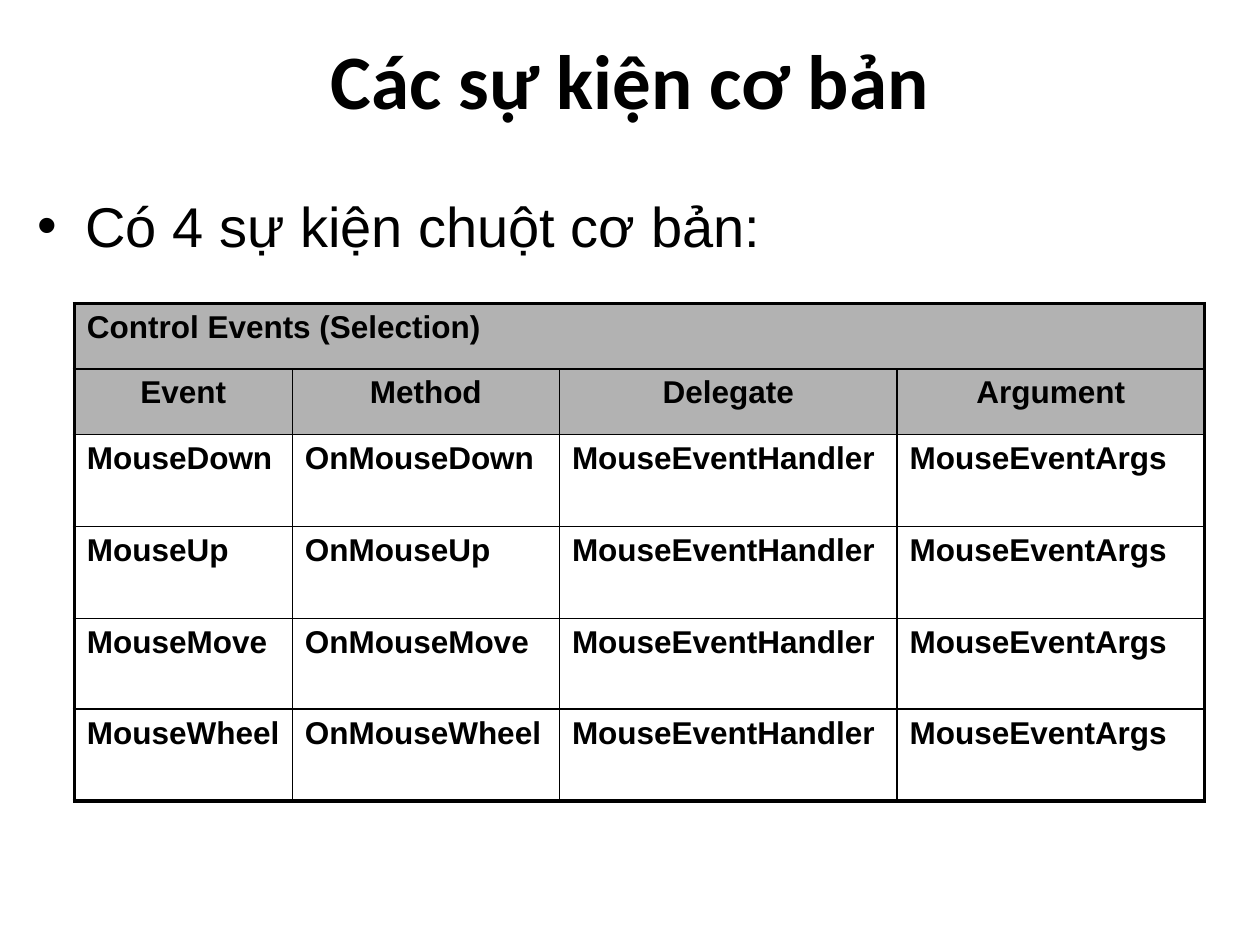
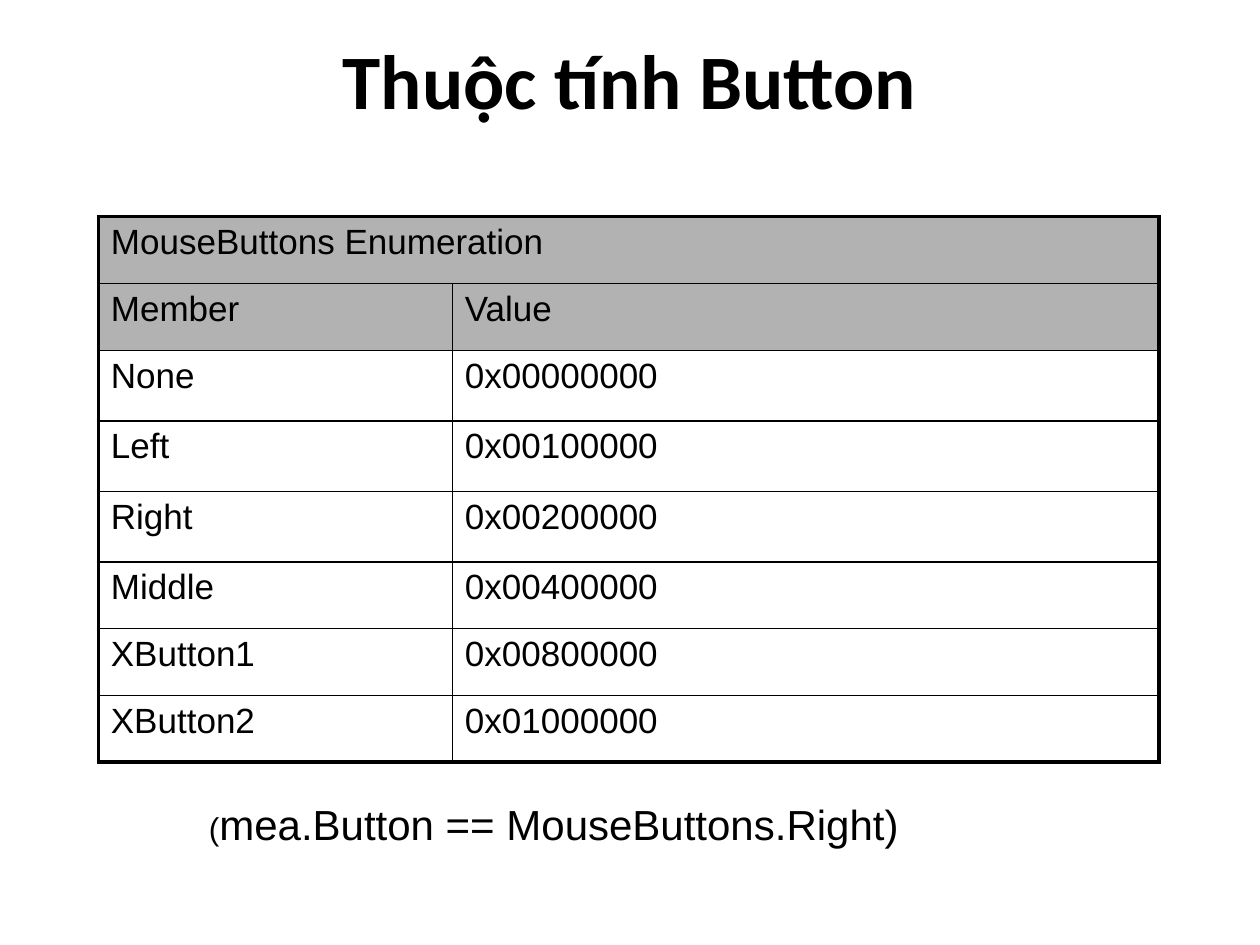
"""Build two slides on mouse events and mouse button values."""
from dataclasses import dataclass

from lxml import etree
from pptx import Presentation
from pptx import util as u
from pptx.dml.color import RGBColor
from pptx.enum import text
from pptx.oxml.ns import qn

BLACK = RGBColor(0x00, 0x00, 0x00)
GREY = RGBColor(0xB2, 0xB2, 0xB2)
THICK, THIN = 2.25, 1
HEADS = 2
LEFT, MID = text.PP_ALIGN.LEFT, text.PP_ALIGN.CENTER
TOP, CENTRE = text.MSO_ANCHOR.TOP, text.MSO_ANCHOR.MIDDLE


@dataclass
class Style:
    """Look of a piece of text."""
    size: float
    bold: bool = False
    name: str = "Arial"


@dataclass
class Grid:
    """Bordered table with a merged caption and a row of heads."""
    left: float
    top: float
    cols: list[float]
    rows: list[float]
    style: Style
    align: text.PP_ALIGN
    cells: list[list[str]]


TITLE = Style(44, True, "Calibri")
BODY = Style(32)

EVENTS = Grid(
    0.59, 2.41, [1.73, 2.12, 2.68, 2.44], [0.52] * 2 + [0.73, 0.73, 0.72, 0.73],
    Style(18, True), MID,
    [["Control Events (Selection)"], ["Event", "Method", "Delegate", "Argument"]]
    + [[name, f"On{name}", "MouseEventHandler", "MouseEventArgs"]
       for name in ("MouseDown", "MouseUp", "MouseMove", "MouseWheel")])

BUTTONS = Grid(
    0.78, 1.72, [2.81, 5.61], [0.53] * 2 + [0.56] * 3 + [0.53] * 3,
    Style(20), LEFT,
    [["MouseButtons Enumeration"], ["Member", "Value"],
     ["None", "0x00000000"], ["Left", "0x00100000"],
     ["Right", "0x00200000"], ["Middle", "0x00400000"],
     ["XButton1", "0x00800000"], ["XButton2", "0x01000000"]])


def write(para, words: str, style: Style) -> None:
    """Add a styled run to a paragraph."""
    run = para.add_run()
    run.text = words
    look = {"size": u.Pt(style.size), "bold": style.bold, "name": style.name}
    for key, value in look.items():
        setattr(run.font, key, value)
    run.font.color.rgb = BLACK


def add_text(slide, box: tuple, runs: list, align=LEFT, anchor=TOP):
    """Add a wrapped text box and return its paragraph."""
    frame = slide.shapes.add_textbox(*map(u.Inches, box)).text_frame
    for key, value in {"word_wrap": True, "vertical_anchor": anchor}.items():
        setattr(frame, key, value)
    para = frame.paragraphs[0]
    para.alignment = align
    for words, style in runs:
        write(para, words, style)
    return para


def add_bullet(para, indent: float) -> None:
    """Give a paragraph a hanging bullet."""
    props = para._p.get_or_add_pPr()
    props.set("marL", str(u.Inches(indent)))
    props.set("indent", str(u.Inches(-indent)))
    etree.SubElement(props, qn("a:buFont")).set("typeface", "Arial")
    etree.SubElement(props, qn("a:buChar")).set("char", "•")


def add_edges(cell, edges: dict[str, float]) -> None:
    """Draw the borders of a cell."""
    props = cell._tc.get_or_add_tcPr()
    for side, width in edges.items():
        line = etree.SubElement(props, qn(f"a:ln{side}"), w=str(u.Pt(width)))
        fill = etree.SubElement(line, qn("a:solidFill"))
        etree.SubElement(fill, qn("a:srgbClr")).set("val", str(BLACK))


def add_grid(slide, grid: Grid) -> None:
    """Draw a table with thick outer and thin inner lines."""
    wide, high = len(grid.cols), len(grid.rows)
    box = grid.left, grid.top, sum(grid.cols), sum(grid.rows)
    table = slide.shapes.add_table(high, wide, *map(u.Inches, box)).table
    table.first_row = table.horz_banding = False
    for col, width in zip(table.columns, grid.cols):
        col.width = u.Inches(width)
    for row, height in zip(table.rows, grid.rows):
        row.height = u.Inches(height)
    table.cell(0, 0).merge(table.cell(0, wide - 1))
    for r, words in enumerate(grid.cells):
        for c in range(wide):
            cell = table.cell(r, c)
            outer = {"L": c == 0, "R": r == 0 or c == wide - 1,
                     "T": r == 0, "B": r == high - 1}
            add_edges(cell, {side: THICK if edge else THIN
                             for side, edge in outer.items()})
            if r < HEADS:
                cell.fill.solid()
                cell.fill.fore_color.rgb = GREY
            else:
                cell.fill.background()
            if c < len(words):
                para = cell.text_frame.paragraphs[0]
                para.alignment = grid.align if r == 1 else LEFT
                write(para, words[c], grid.style)


def add_page(deck, title: str):
    """Add a blank slide with the shared title."""
    slide = deck.slides.add_slide(deck.slide_layouts[6])
    add_text(slide, (0.5, 0, 9, 1.25), [(title, TITLE)], MID, CENTRE)
    return slide


def main() -> None:
    """Build and save the deck."""
    deck = Presentation()
    deck.slide_width, deck.slide_height = u.Inches(10), u.Inches(7.5)

    page = add_page(deck, "Các sự kiện cơ bản")
    lead = add_text(page, (0.2, 1.47, 9.53, 0.71),
                    [("Có 4 sự kiện chuột cơ bản:", BODY)])
    lead.space_before = u.Pt(3.6)
    add_bullet(lead, 0.38)
    add_grid(page, EVENTS)

    page = add_page(deck, "Thuộc tính Button")
    add_grid(page, BUTTONS)
    add_text(page, (1.56, 6.29, 5.94, 0.5),
             [("(", Style(18)), ("mea.Button == MouseButtons.Right)", Style(24))])

    deck.save("out.pptx")


if __name__ == "__main__":
    main()
